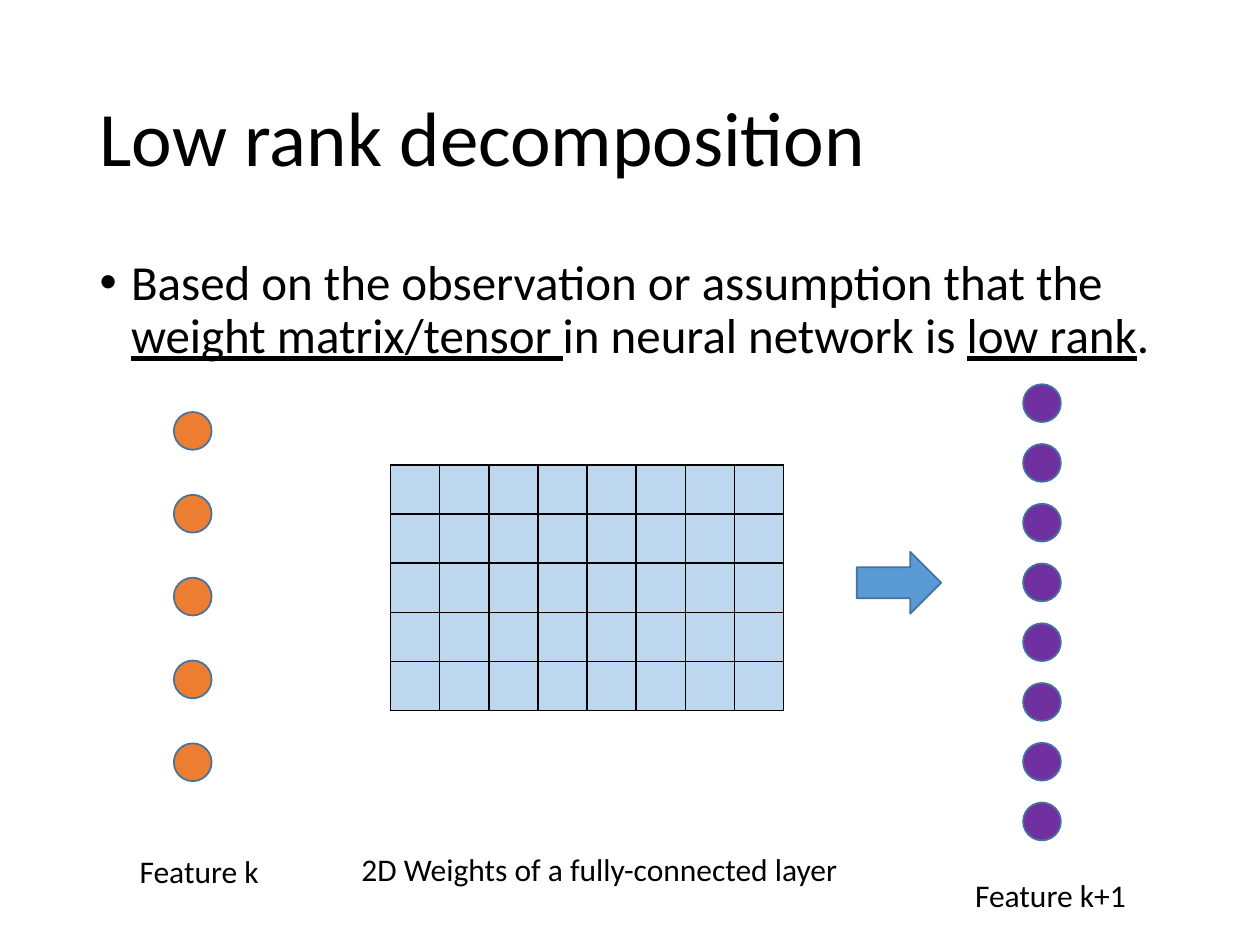
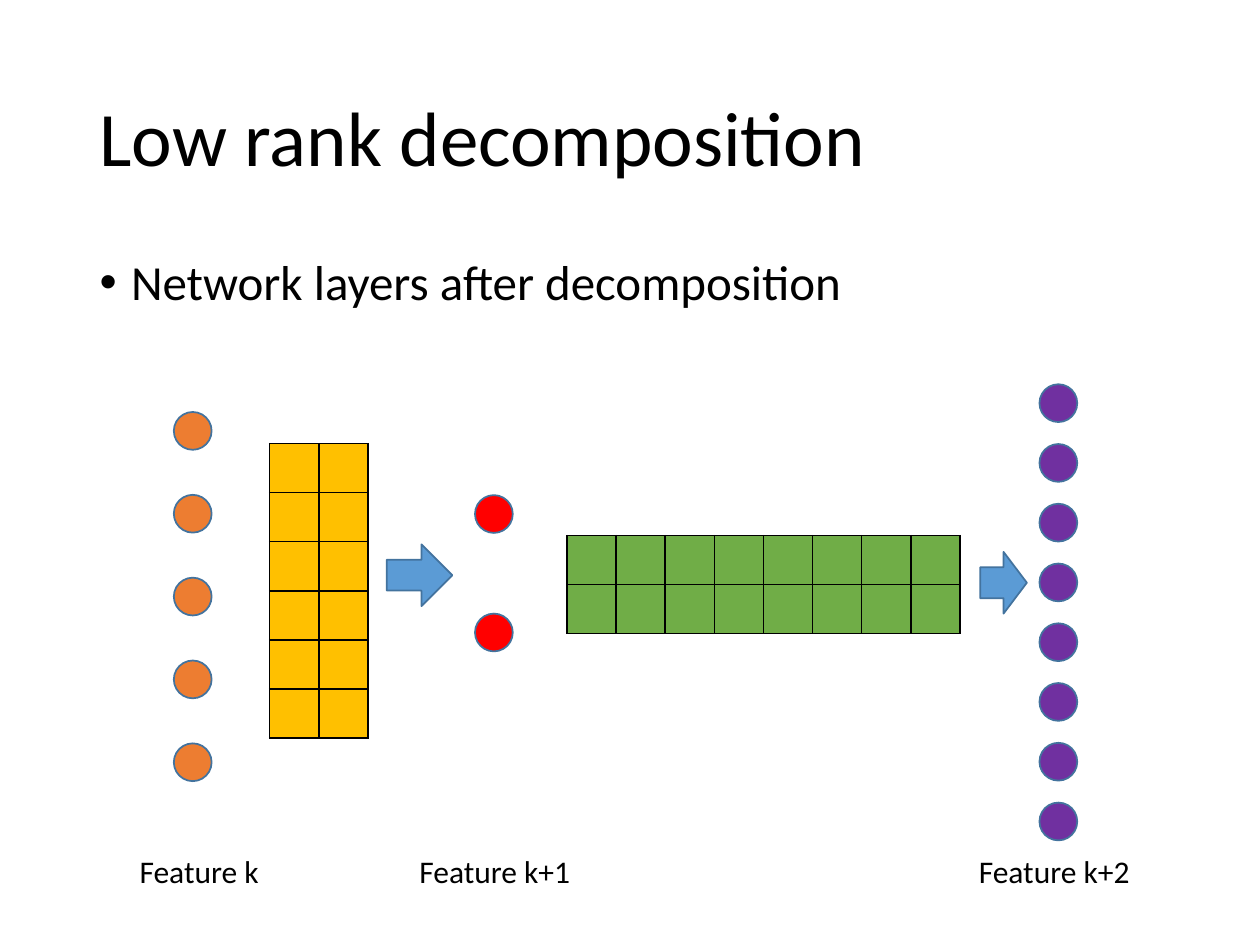
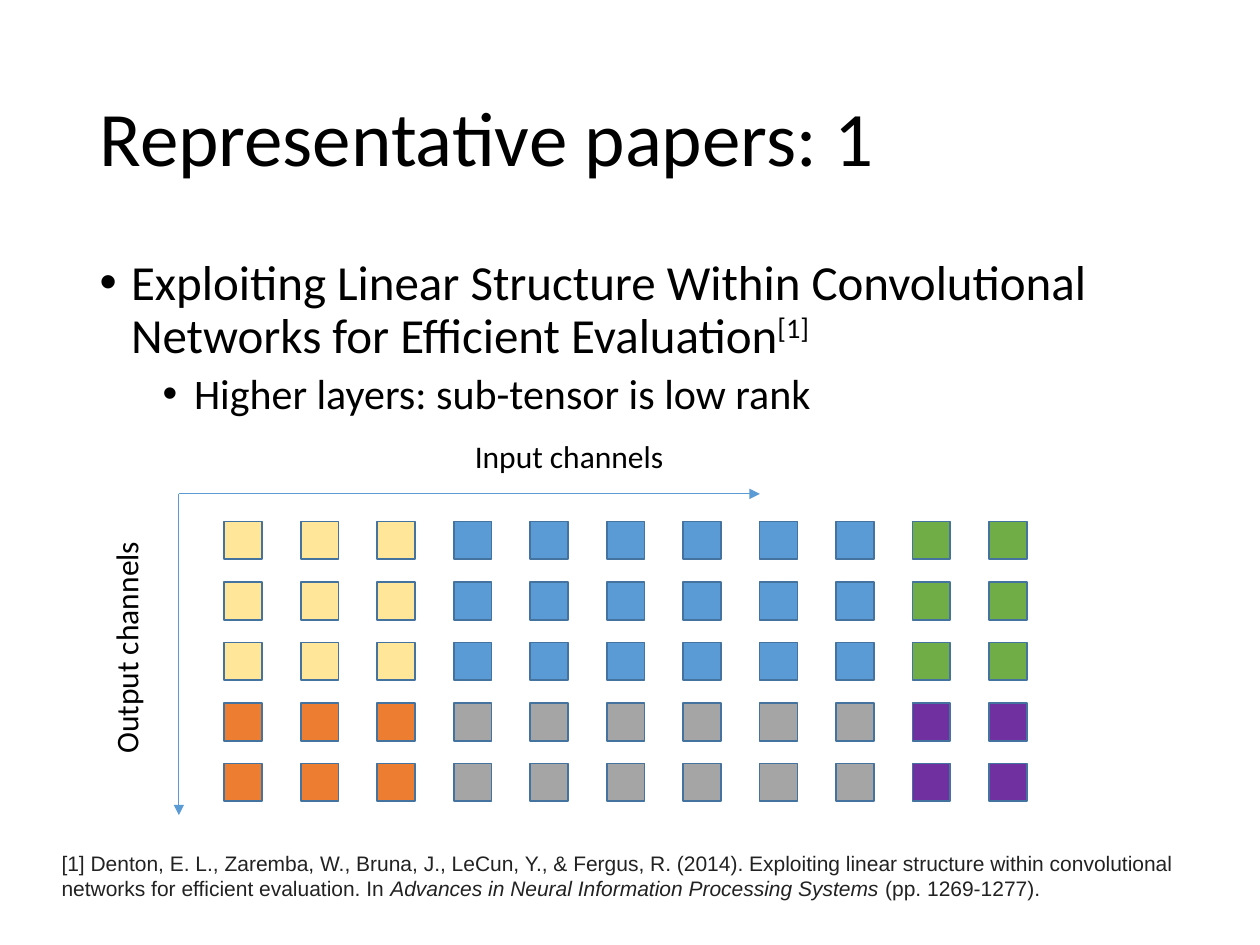
from lxml.etree import SubElement as Sub
from pptx import Presentation
from pptx.dml.color import RGBColor
from pptx.enum.shapes import MSO_CONNECTOR, MSO_SHAPE as Kind
from pptx.enum.text import MSO_ANCHOR, MSO_AUTO_SIZE as Fit, PP_ALIGN
from pptx.oxml.ns import qn
from pptx.util import Inches, Pt

BLACK = RGBColor(0x00, 0x00, 0x00)
INK = RGBColor(0x22, 0x22, 0x22)
EDGE = RGBColor(0x43, 0x73, 0x9E)
BLUE = RGBColor(0x5B, 0x9B, 0xD5)
PALE = RGBColor(0xBD, 0xD7, 0xEE)
ORANGE = RGBColor(0xED, 0x7D, 0x31)
PURPLE = RGBColor(0x70, 0x30, 0xA0)
GOLD = RGBColor(0xFF, 0xC0, 0x00)
CREAM = RGBColor(0xFF, 0xE6, 0x99)
GREEN = RGBColor(0x70, 0xAD, 0x47)
RED = RGBColor(0xFF, 0x00, 0x00)
GRAY = RGBColor(0xA5, 0xA5, 0xA5)

FACE = "Calibri"
NODE = 0.3
CELL = 0.39


def draw(slide, kind, x, y, w, h, color):
    shape = slide.shapes.add_shape(kind, Inches(x), Inches(y), Inches(w), Inches(h))
    shape.shadow.inherit = False
    shape.fill.solid()
    shape.fill.fore_color.rgb = color
    shape.line.color.rgb = EDGE
    shape.line.width = Pt(1)


def label(slide, text, x, y, w):
    box = slide.shapes.add_textbox(Inches(x), Inches(y), Inches(w), Inches(0.4))
    frame = box.text_frame
    frame.text = text
    frame.word_wrap = False
    font = frame.paragraphs[0].runs[0].font
    font.name, font.size, font.color.rgb = FACE, Pt(18), BLACK
    return box


deck = Presentation()
deck.slide_width, deck.slide_height = Inches(10), Inches(7.5)

# Titles and lists: each point is a level and its runs, each run a text and a style
pages = [
    ("Low rank decomposition", [
        (0, [("Based on the observation or assumption that the ", ""),
             ("weight matrix/tensor ", "under"),
             ("in neural network is ", ""),
             ("low rank", "under"),
             (".", "")])]),
    ("Low rank decomposition", [
        (0, [("Network layers after decomposition", "")])]),
    ("Representative papers: 1", [
        (0, [("Exploiting Linear Structure Within Convolutional "
              "Networks for Efficient Evaluation", ""),
             ("[1]", "super")]),
        (1, [("Higher layers: sub-tensor is low rank", "")])]),
]
for head, points in pages:
    slide = deck.slides.add_slide(deck.slide_layouts[1])
    title, body = slide.placeholders
    title.left, title.top = Inches(0.69), Inches(0.4)
    title.width, title.height = Inches(8.62), Inches(1.45)
    body.left, body.top = Inches(0.69), Inches(2)
    body.width, body.height = Inches(8.62), Inches(4.76)

    title.text_frame.text = head
    title.text_frame.vertical_anchor = MSO_ANCHOR.MIDDLE
    title.text_frame.auto_size = body.text_frame.auto_size = Fit.NONE
    para = title.text_frame.paragraphs[0]
    para.alignment, para.line_spacing = PP_ALIGN.LEFT, 0.9
    font = para.runs[0].font
    font.name, font.size, font.color.rgb = FACE, Pt(44), BLACK

    for i, (level, runs) in enumerate(points):
        frame = body.text_frame
        para = frame.add_paragraph() if i else frame.paragraphs[0]
        para.level, para.line_spacing = level, 0.9
        para.space_before = Pt(5 if level else 10)
        props = para._p.get_or_add_pPr()
        props.set("marL", str(Inches(0.25 + 0.5 * level)))
        props.set("indent", str(Inches(-0.25)))
        Sub(props, qn("a:buFont")).set("typeface", "Arial")
        Sub(props, qn("a:buChar")).set("char", "•")
        for text, style in runs:
            run = para.add_run()
            run.text = text
            font = run.font
            font.name, font.size, font.color.rgb = FACE, Pt(28 - 4 * level), BLACK
            if style == "under":
                font.underline = True
            if style == "super":
                run._r.get_or_add_rPr().set("baseline", "30000")

full, split, paper = deck.slides

# Feature columns: left, first top, last top, count
for slide, x, first, last, count, color in [
    (full, 1.38, 3.27, 5.9, 5, ORANGE),
    (full, 8.12, 3.05, 6.37, 8, PURPLE),
    (split, 1.38, 3.27, 5.9, 5, ORANGE),
    (split, 3.77, 3.93, 4.87, 2, RED),
    (split, 8.25, 3.05, 6.37, 8, PURPLE),
]:
    step = (last - first) / (count - 1)
    for i in range(count):
        draw(slide, Kind.OVAL, x, first + i * step, NODE, NODE, color)

# Weight matrices
for slide, x, y, rows, cols, color in [
    (full, 3.1, 3.69, 5, 8, PALE),
    (split, 2.14, 3.52, 6, 2, GOLD),
    (split, 4.5, 4.25, 2, 8, GREEN),
]:
    table = slide.shapes.add_table(
        rows, cols, Inches(x), Inches(y), Inches(cols * CELL), Inches(rows * CELL)).table
    table.first_row = table.horz_banding = False
    for line in table.rows:
        line.height = Inches(CELL)
    for line in table.columns:
        line.width = Inches(CELL)
    for cell in table.iter_cells():
        cell.margin_top = cell.margin_bottom = 0
        props = cell._tc.get_or_add_tcPr()
        for side in ("lnL", "lnR", "lnT", "lnB"):
            edge = Sub(props, qn(f"a:{side}"), w=str(Pt(1)))
            Sub(Sub(edge, qn("a:solidFill")), qn("a:srgbClr"), val=str(BLACK))
        cell.fill.solid()
        cell.fill.fore_color.rgb = color

for slide, x, y, w in [(full, 6.8, 4.38, 0.67), (split, 3.07, 4.32, 0.52),
                       (split, 7.78, 4.38, 0.37)]:
    draw(slide, Kind.RIGHT_ARROW, x, y, w, 0.49, BLUE)

for slide, text, x, y, w in [
    (full, "2D Weights of a fully-connected layer", 2.77, 6.7, 4.03),
    (full, "Feature k", 1.01, 6.71, 1.16),
    (full, "Feature k+1", 7.64, 6.9, 1.41),
    (split, "Feature k", 1.01, 6.71, 1.16),
    (split, "Feature k+1", 3.23, 6.71, 1.41),
    (split, "Feature k+2", 7.67, 6.71, 1.41),
    (paper, "Input channels", 3.67, 3.42, 1.72),
]:
    label(slide, text, x, y, w)
label(paper, "Output channels", 0.02, 4.9, 1.96).rotation = 270

# Channel grid, coloured by sub-tensor
upper = [CREAM] * 3 + [BLUE] * 6 + [GREEN] * 2
lower = [ORANGE] * 3 + [GRAY] * 6 + [PURPLE] * 2
for row, colors in enumerate([upper] * 3 + [lower] * 2):
    for col, color in enumerate(colors):
        draw(paper, Kind.RECTANGLE, 1.78 + col * 6.07 / 10, 4.14 + row * 0.48,
             NODE, NODE, color)

for x, y in [(6.03, 3.92), (1.42, 6.47)]:
    axis = paper.shapes.add_connector(
        MSO_CONNECTOR.STRAIGHT, Inches(1.42), Inches(3.92), Inches(x), Inches(y))
    axis.line.color.rgb = BLUE
    axis.line.width = Pt(0.5)
    Sub(axis.line._get_or_add_ln(), qn("a:tailEnd"), type="triangle")
    Sub(axis._element.spPr, qn("a:effectLst"))

# Citation
note = paper.shapes.add_textbox(Inches(0.39), Inches(6.7), Inches(9.1), Inches(0.5))
note.text_frame.word_wrap = True
para = note.text_frame.paragraphs[0]
for text, slant in [
    ("[1] Denton, E. L., Zaremba, W., Bruna, J., LeCun, Y., & Fergus, R. (2014). "
     "Exploiting linear structure within convolutional networks for efficient "
     "evaluation. In ", False),
    ("Advances in Neural Information Processing Systems", True),
    (" (pp. 1269-1277).", False),
]:
    run = para.add_run()
    run.text = text
    font = run.font
    font.name, font.size, font.color.rgb = "Arial", Pt(12), INK
    font.italic = slant

deck.save("out.pptx")
